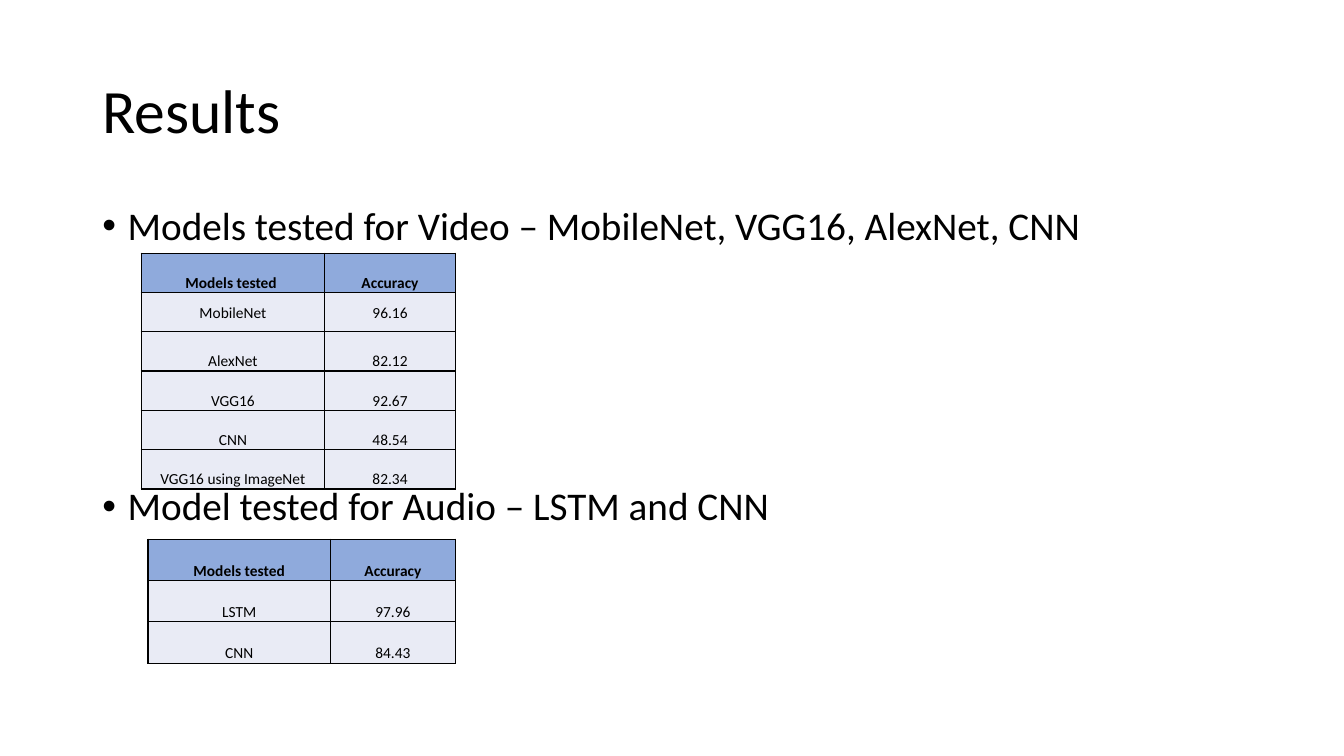
import pptx
import pptx.dml.color
import pptx.enum.text
import pptx.oxml
import pptx.oxml.ns
import pptx.util
from pptx.util import Cm

COLORS = {"text": "000000", "border": "000000", "header": "8FAADC", "body": "E9EBF5"}
FONT = "Calibri"
ANCHOR = pptx.enum.text.MSO_ANCHOR


def color(name):
    return pptx.dml.color.RGBColor.from_string(COLORS[name])


def format_runs(paragraph, size, bold=False):
    for run in paragraph.runs:
        run.font.name = FONT
        run.font.size = pptx.util.Pt(size)
        run.font.bold = bold
        run.font.color.rgb = color("text")


def add_text(slide, lines, left, top, width, height, size, anchor):
    shape = slide.shapes.add_textbox(Cm(left), Cm(top), Cm(width), Cm(height))
    text_frame = shape.text_frame
    text_frame.word_wrap = True
    text_frame.vertical_anchor = anchor
    text_frame.text = "\n".join(lines)
    for paragraph in text_frame.paragraphs:
        paragraph.line_spacing = 0.9
        format_runs(paragraph, size)
    return text_frame


def add_bullet(paragraph):
    properties = paragraph._p.get_or_add_pPr()
    properties.set("marL", str(Cm(0.64)))
    properties.set("indent", str(-Cm(0.64)))
    namespace = pptx.oxml.ns.nsdecls("a")
    for xml in (f'<a:buFont {namespace} typeface="Arial"/>',
                f'<a:buChar {namespace} char="•"/>'):
        properties.append(pptx.oxml.parse_xml(xml))


def set_borders(cell):
    properties = cell._tc.get_or_add_tcPr()
    for index, side in enumerate(("lnL", "lnR", "lnT", "lnB")):
        properties.insert(index, pptx.oxml.parse_xml(
            f'<a:{side} {pptx.oxml.ns.nsdecls("a")} w="{pptx.util.Pt(1)}">'
            f'<a:solidFill><a:srgbClr val="{COLORS["border"]}"/></a:solidFill></a:{side}>'))


def format_cell(cell, text, is_header, anchor):
    cell.text = text
    cell.margin_left = cell.margin_right = cell.margin_top = Cm(0.03)
    cell.margin_bottom = 0
    cell.vertical_anchor = anchor
    cell.fill.solid()
    cell.fill.fore_color.rgb = color("header" if is_header else "body")
    paragraph = cell.text_frame.paragraphs[0]
    paragraph.alignment = pptx.enum.text.PP_ALIGN.CENTER
    format_runs(paragraph, 11, is_header)
    set_borders(cell)


def add_accuracy_table(slide, rows, left, top, widths, row_height, middle_rows=()):
    frame = slide.shapes.add_table(len(rows), len(widths), Cm(left), Cm(top),
                                   Cm(sum(widths)), Cm(row_height * len(rows)))
    table = frame.table
    for column, width in zip(table.columns, widths):
        column.width = Cm(width)
    for row_index, values in enumerate(rows):
        table.rows[row_index].height = Cm(row_height)
        anchor = ANCHOR.MIDDLE if row_index in middle_rows else ANCHOR.BOTTOM
        for column_index, value in enumerate(values):
            format_cell(table.cell(row_index, column_index), value, row_index == 0, anchor)


def main():
    presentation = pptx.Presentation()
    presentation.slide_width = Cm(33.87)
    presentation.slide_height = Cm(19.05)
    slide = presentation.slides.add_slide(presentation.slide_layouts[6])

    add_text(slide, ["Results"], 2.33, 1.01, 29.21, 3.68, 44, ANCHOR.MIDDLE)
    bullets = add_text(slide, ["Models tested for Video – MobileNet, VGG16, AlexNet, CNN",
                               "Model tested for Audio – LSTM and CNN"],
                       2.33, 5.08, 29.21, 12.09, 28, ANCHOR.TOP)
    bullets.paragraphs[1].space_before = Cm(6)
    for paragraph in bullets.paragraphs:
        add_bullet(paragraph)

    video_rows = [("Models tested ", "Accuracy"), ("MobileNet", "96.16"),
                  ("AlexNet", "82.12"), ("VGG16", "92.67"), ("CNN", "48.54"),
                  ("VGG16 using ImageNet", "82.34")]
    audio_rows = [("Models tested", "Accuracy"), ("LSTM", "97.96"), ("CNN", "84.43")]
    add_accuracy_table(slide, video_rows, 3.56, 6.38, (4.62, 3.3), 0.99, middle_rows=(1,))
    add_accuracy_table(slide, audio_rows, 3.73, 13.59, (4.6, 3.15), 1.04)

    presentation.save("out.pptx")


if __name__ == "__main__":
    main()
